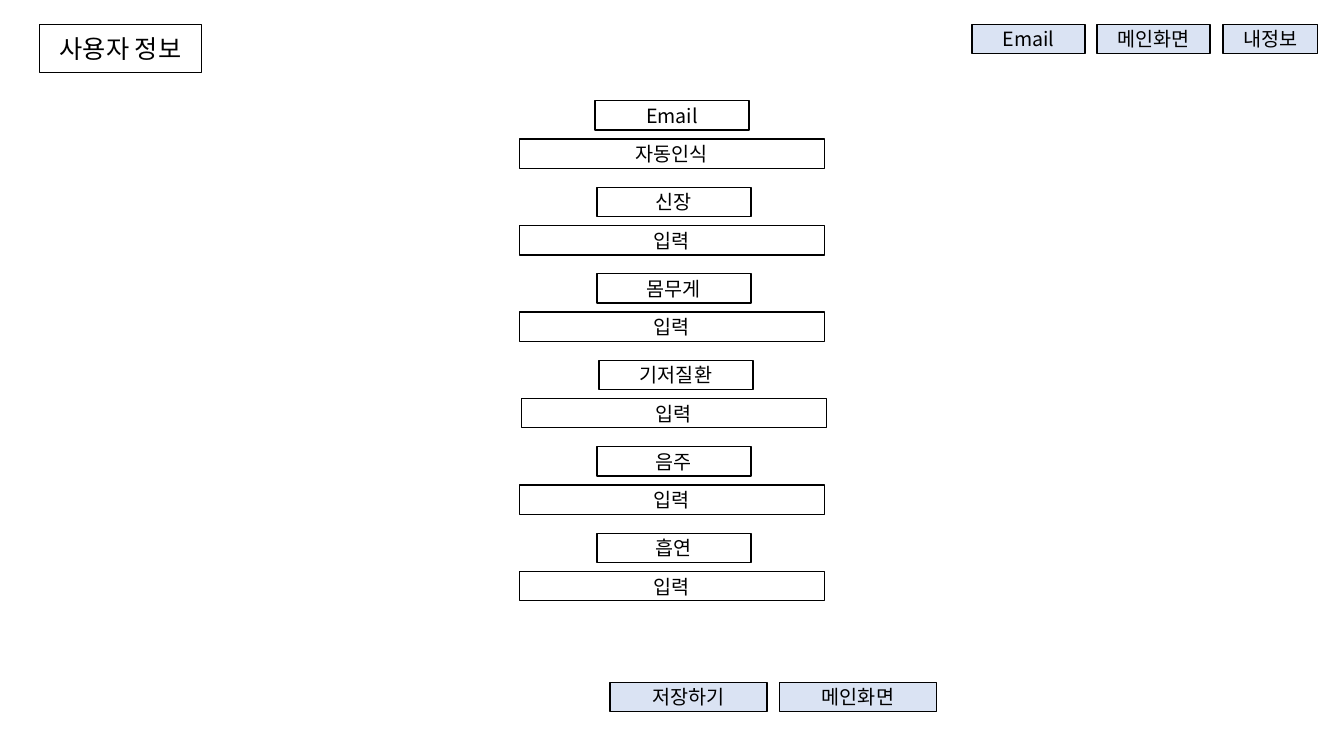
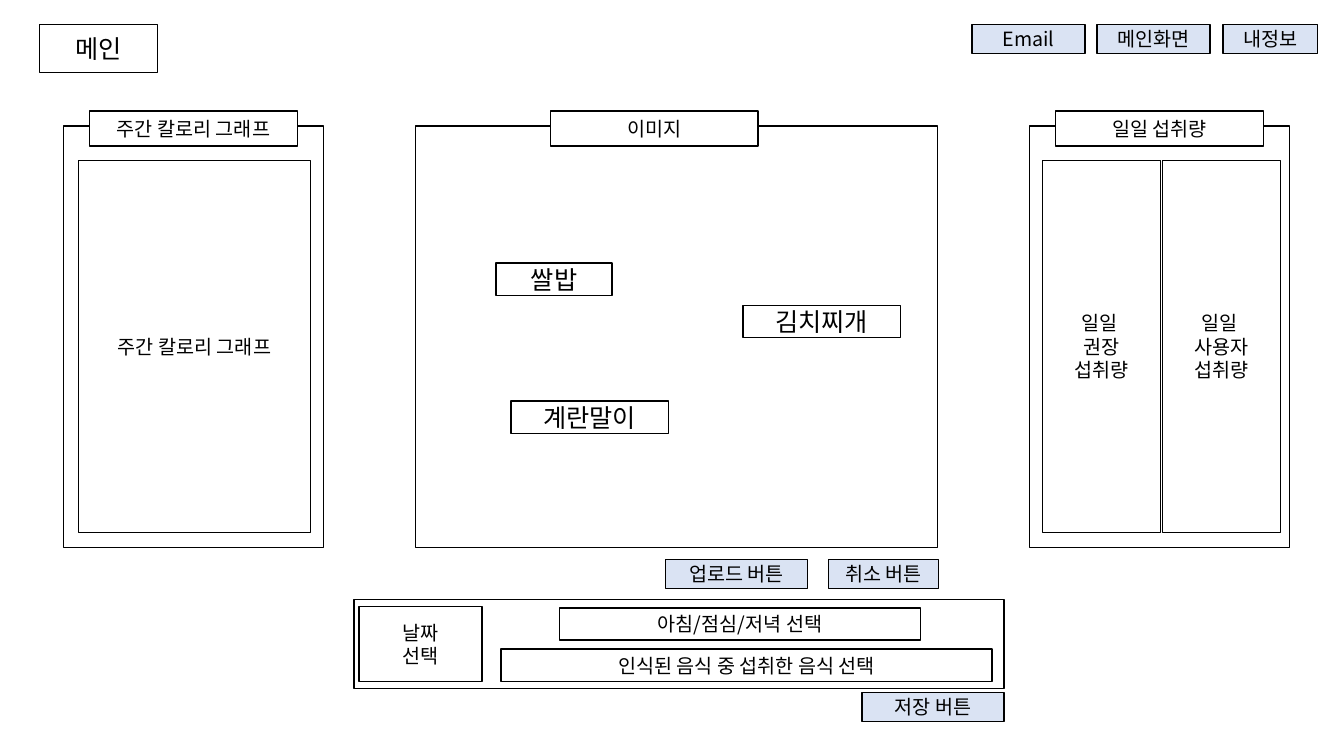
from collections import namedtuple

from lxml.etree import SubElement
from pptx import Presentation
from pptx.dml.color import RGBColor
from pptx.enum.shapes import MSO_SHAPE
from pptx.enum.text import MSO_ANCHOR, MSO_AUTO_SIZE, PP_ALIGN
from pptx.oxml.ns import qn
from pptx.util import Inches, Pt

WHITE = RGBColor(0xFF, 0xFF, 0xFF)
BLACK = RGBColor(0x00, 0x00, 0x00)
BUTTON_BLUE = RGBColor(0xDA, 0xE3, 0xF3)
FONT = "Noto Sans CJK KR"
BODY_SIZE = 14
LARGE_SIZE = 18
MARGIN_TOP = 0.24
BUTTON_HEIGHT = 0.29
TITLE_ONLY = 5

Box = namedtuple("Box", "left top width height")


def style_box(shape, text, size, fill):
    shape.fill.solid()
    shape.fill.fore_color.rgb = fill
    shape.line.color.rgb = BLACK
    shape.line.width = Pt(1)
    frame = shape.text_frame
    frame.text = text
    frame.word_wrap = True
    frame.vertical_anchor = MSO_ANCHOR.MIDDLE
    for paragraph in frame.paragraphs:
        paragraph.alignment = PP_ALIGN.CENTER
        paragraph.font.name = FONT
        paragraph.font.size = Pt(size)
        paragraph.font.color.rgb = BLACK
        properties = paragraph._p.pPr.find(qn("a:defRPr"))
        SubElement(properties, qn("a:ea")).set("typeface", FONT)


def add_box(shapes, box, text="", size=BODY_SIZE, fill=WHITE):
    shape = shapes.add_shape(MSO_SHAPE.RECTANGLE, *map(Inches, box))
    shape.shadow.inherit = False
    style_box(shape, text, size, fill)


def add_button(slide, left, top, width, text):
    add_box(slide.shapes, Box(left, top, width, BUTTON_HEIGHT), text, fill=BUTTON_BLUE)


def add_screen(presentation, title, title_width):
    slide = presentation.slides.add_slide(presentation.slide_layouts[TITLE_ONLY])
    heading = slide.shapes.title
    heading.left, heading.top = Inches(0.39), Inches(MARGIN_TOP)
    heading.width, heading.height = Inches(title_width), Inches(0.48)
    style_box(heading, title, LARGE_SIZE, WHITE)
    heading.text_frame.auto_size = MSO_AUTO_SIZE.NONE
    for left, width, text in [
        (9.64, 1.12, "Email"),
        (10.88, 1.12, "메인화면"),
        (12.13, 0.94, "내정보"),
    ]:
        add_button(slide, left, MARGIN_TOP, width, text)
    return slide


def add_field(slide, box, label, value, label_indent):
    shapes = slide.shapes.add_group_shape().shapes
    add_box(shapes, Box(box.left + label_indent, box.top, 1.53, BUTTON_HEIGHT), label)
    value_top = box.top + box.height - BUTTON_HEIGHT
    add_box(shapes, Box(box.left, value_top, box.width, BUTTON_HEIGHT), value)


def add_panel(slide, box, title, tab_indent=0.26):
    shapes = slide.shapes.add_group_shape().shapes
    add_box(shapes, box)
    add_box(shapes, Box(box.left + tab_indent, box.top - 0.15, 2.06, 0.35), title)
    return shapes


def add_columns(shapes, box, texts, gap=0.02):
    width = (box.width - gap * (len(texts) - 1)) / len(texts)
    for index, text in enumerate(texts):
        left = box.left + index * (width + gap)
        add_box(shapes, Box(left, box.top, width, box.height), text)


def add_food_labels(shapes, box):
    for left, top, width, text in [
        (0.95, 2.73, 1.56, "계란말이"),
        (0.8, 1.36, 1.15, "쌀밥"),
        (3.25, 1.78, 1.56, "김치찌개"),
    ]:
        label = Box(box.left + left, box.top + top, width, 0.32)
        add_box(shapes, label, text, LARGE_SIZE)


def add_meal_selector(slide, box):
    add_box(slide.shapes, box)
    for left, top, width, height, text in [
        (0.05, 0.07, 1.22, 0.74, "날짜\n선택"),
        (2.04, 0.08, 3.58, 0.32, "아침/점심/저녁 선택"),
        (1.46, 0.49, 4.87, 0.32, "인식된 음식 중 섭취한 음식 선택"),
    ]:
        part = Box(box.left + left, box.top + top, width, height)
        add_box(slide.shapes, part, text)


def build_user_information(presentation):
    slide = add_screen(presentation, "사용자 정보", 1.61)
    fields = [
        ("Email", "자동인식", 5.15, 0.75),
        ("신장", "입력", 5.15, 0.77),
        ("몸무게", "입력", 5.15, 0.77),
        ("기저질환", "입력", 5.17, 0.77),
        ("음주", "입력", 5.15, 0.77),
        ("흡연", "입력", 5.15, 0.77),
    ]
    first_top, last_top = 1, 5.29
    pitch = (last_top - first_top) / (len(fields) - 1)
    for row, (label, value, left, indent) in enumerate(fields):
        box = Box(left, first_top + row * pitch, 3.03, 0.67)
        add_field(slide, box, label, value, indent)
    add_button(slide, 6.05, 6.77, 1.56, "저장하기")
    add_button(slide, 7.73, 6.77, 1.56, "메인화면")


def build_main(presentation):
    slide = add_screen(presentation, "메인", 1.17)
    panel_top, panel_height = 1.25, 4.18
    content_top, content_height = 1.59, 3.69

    weekly = add_panel(slide, Box(0.63, panel_top, 2.58, panel_height), "주간 칼로리 그래프")
    add_box(weekly, Box(0.78, content_top, 2.3, content_height), "주간 칼로리 그래프")

    image_box = Box(4.12, panel_top, 5.18, panel_height)
    add_food_labels(add_panel(slide, image_box, "이미지", 1.34), image_box)

    daily = add_panel(slide, Box(10.21, panel_top, 2.58, panel_height), "일일 섭취량")
    add_columns(
        daily,
        Box(10.34, content_top, 2.36, content_height),
        ["일일 \n권장\n섭취량", "일일 \n사용자\n섭취량"],
    )

    add_button(slide, 6.6, 5.55, 1.41, "업로드 버튼")
    add_button(slide, 8.22, 5.55, 1.09, "취소 버튼")
    add_meal_selector(slide, Box(3.51, 5.95, 6.45, 0.88))
    add_button(slide, 8.55, 6.87, 1.41, "저장 버튼")


presentation = Presentation()
presentation.slide_width = Inches(13.33)
presentation.slide_height = Inches(7.5)
build_user_information(presentation)
build_main(presentation)
presentation.save("out.pptx")
